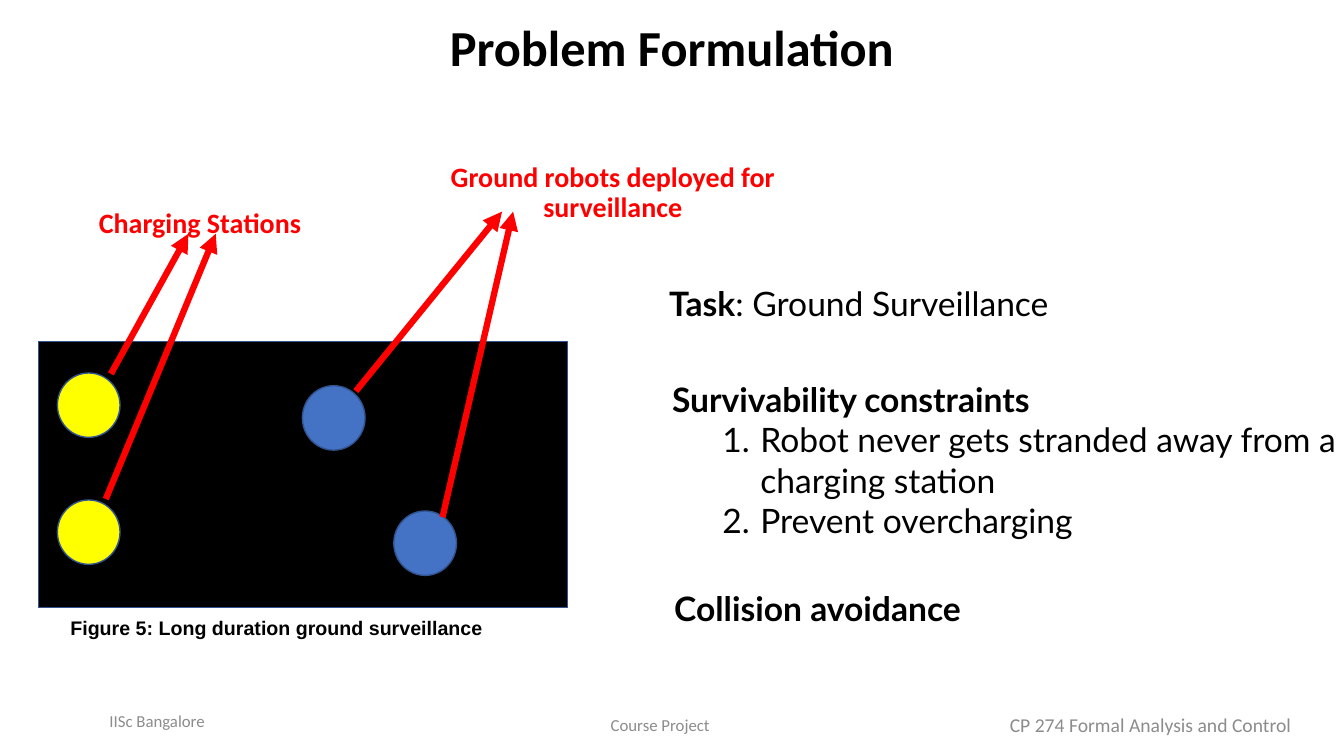
from lxml import etree
from pptx import Presentation
from pptx.dml.color import RGBColor
from pptx.enum import shapes, text
from pptx.oxml import ns
from pptx.util import Pt

BLACK = RGBColor(0x00, 0x00, 0x00)
RED = RGBColor(0xFF, 0x00, 0x00)
YELLOW = RGBColor(0xFF, 0xFF, 0x00)
BLUE = RGBColor(0x44, 0x72, 0xC4)
OUTLINE = RGBColor(0x32, 0x54, 0x91)
GREY = RGBColor(0x8C, 0x8C, 0x8C)

LEFT, CENTER, RIGHT = text.PP_ALIGN.LEFT, text.PP_ALIGN.CENTER, text.PP_ALIGN.RIGHT
TOP, MIDDLE = text.MSO_ANCHOR.TOP, text.MSO_ANCHOR.MIDDLE


def place(shape, left, top, width, height):
    shape.left, shape.top = Pt(left), Pt(top)
    shape.width, shape.height = Pt(width), Pt(height)


def add_run(paragraph, words, font, size, color=BLACK, bold=False):
    run = paragraph.add_run()
    run.text = words
    run.font.name, run.font.size, run.font.bold = font, Pt(size), bold
    run.font.color.rgb = color


def add_text_box(slide, box, align=LEFT, anchor=TOP, spacing=None):
    """Add an empty wrapping text box and return its text frame."""
    shape = slide.shapes.add_textbox(*map(Pt, box))
    frame = shape.text_frame
    frame.word_wrap = True
    frame.vertical_anchor = anchor
    paragraph = frame.paragraphs[0]
    paragraph.alignment = align
    paragraph.line_spacing = spacing
    return frame


def add_numbered_item(frame, words):
    paragraph = frame.add_paragraph()
    paragraph.level = 1
    properties = paragraph._p.get_or_add_pPr()
    properties.set("marL", str(Pt(63)))
    properties.set("indent", str(Pt(-27)))
    etree.SubElement(properties, ns.qn("a:buFont"), typeface="+mj-lt")
    etree.SubElement(properties, ns.qn("a:buAutoNum"), type="arabicPeriod")
    add_run(paragraph, words, "Lato", 24)


def add_filled_shape(slide, kind, box, color):
    shape = slide.shapes.add_shape(kind, *map(Pt, box))
    shape.shadow.inherit = False
    shape.fill.solid()
    shape.fill.fore_color.rgb = color
    shape.line.color.rgb = OUTLINE
    shape.line.width = Pt(1)


def add_arrow(slide, start, end):
    arrow = slide.shapes.add_connector(
        shapes.MSO_CONNECTOR.STRAIGHT, *map(Pt, start + end))
    arrow.line.color.rgb = RED
    arrow.line.width = Pt(4.5)
    etree.SubElement(arrow.line._get_or_add_ln(), ns.qn("a:tailEnd"), type="triangle")
    etree.SubElement(arrow._element.spPr, ns.qn("a:effectLst"))


def add_title(slide, words):
    title = slide.shapes.title
    place(title, 0, -2, 960, 76)
    frame = title.text_frame
    frame.auto_size = text.MSO_AUTO_SIZE.NONE
    frame.vertical_anchor = MIDDLE
    paragraph = frame.paragraphs[0]
    paragraph.alignment = CENTER
    paragraph.line_spacing = 0.9
    add_run(paragraph, words, "Calibri", 36, bold=True)


def add_arena(slide):
    # Surveillance area with charging stations and robots
    add_filled_shape(slide, shapes.MSO_SHAPE.RECTANGLE, (27.4, 244, 378, 190), BLACK)
    markers = [(41, 266.4, YELLOW), (41, 357.1, YELLOW),
               (216, 275.5, BLUE), (281.3, 365, BLUE)]
    for left, top, color in markers:
        add_filled_shape(slide, shapes.MSO_SHAPE.OVAL, (left, top, 44.8, 46), color)

    # Arrows from the markers to their labels
    for start, end in [((79.2, 267.1), (134.6, 167)), ((75.6, 356.4), (154.1, 167)),
                       ((254.2, 279.4), (358.6, 151.2)), ((316.1, 369.4), (366.5, 151.2))]:
        add_arrow(slide, start, end)

    # Labels and caption
    for words, box in [
            ("Charging Stations", (21.6, 143.3, 242.6, 34.6)),
            ("Ground robots deployed for surveillance", (281.5, 109.4, 312.5, 57.6))]:
        frame = add_text_box(slide, box, CENTER, MIDDLE, 0.9)
        add_run(frame.paragraphs[0], words, "Calibri", 20, RED, bold=True)
    caption = add_text_box(slide, (43.2, 436.3, 348.5, 24.5))
    add_run(caption.paragraphs[0], "Figure 5: Long duration ground surveillance",
            "Arial", 14, bold=True)


def add_requirements(slide):
    task = add_text_box(slide, (470.9, 198.7, 480, 36)).paragraphs[0]
    add_run(task, "Task", "Lato", 24, bold=True)
    add_run(task, ": Ground Surveillance", "Lato", 24)

    constraints = add_text_box(slide, (473, 267.1, 517.7, 123.8))
    add_run(constraints.paragraphs[0], "Survivability constraints", "Lato", 24, bold=True)
    add_numbered_item(constraints, "Robot never gets stranded away from a charging station")
    add_numbered_item(constraints, "Prevent overcharging")

    collision = add_text_box(slide, (474.5, 416.2, 480, 36))
    add_run(collision.paragraphs[0], "Collision avoidance", "Lato", 24, bold=True)


def add_footers(slide):
    for words, box, size, align in [
            ("CP 274 Formal Analysis and Control", (709.9, 503.3, 219.6, 28.8), 14, RIGHT),
            ("Course Project", (334.8, 500.4, 273.6, 34.6), 12, CENTER),
            ("IISc Bangalore", (57.6, 500.4, 95.8, 28.8), 12, RIGHT)]:
        frame = add_text_box(slide, box, align, MIDDLE)
        add_run(frame.paragraphs[0], words, "Calibri", size, GREY)


def main():
    presentation = Presentation()
    presentation.slide_width, presentation.slide_height = Pt(960), Pt(540)
    slide = presentation.slides.add_slide(presentation.slide_layouts.get_by_name("Title Only"))
    add_title(slide, "Problem Formulation")
    add_arena(slide)
    add_requirements(slide)
    add_footers(slide)
    presentation.save("out.pptx")


if __name__ == "__main__":
    main()
